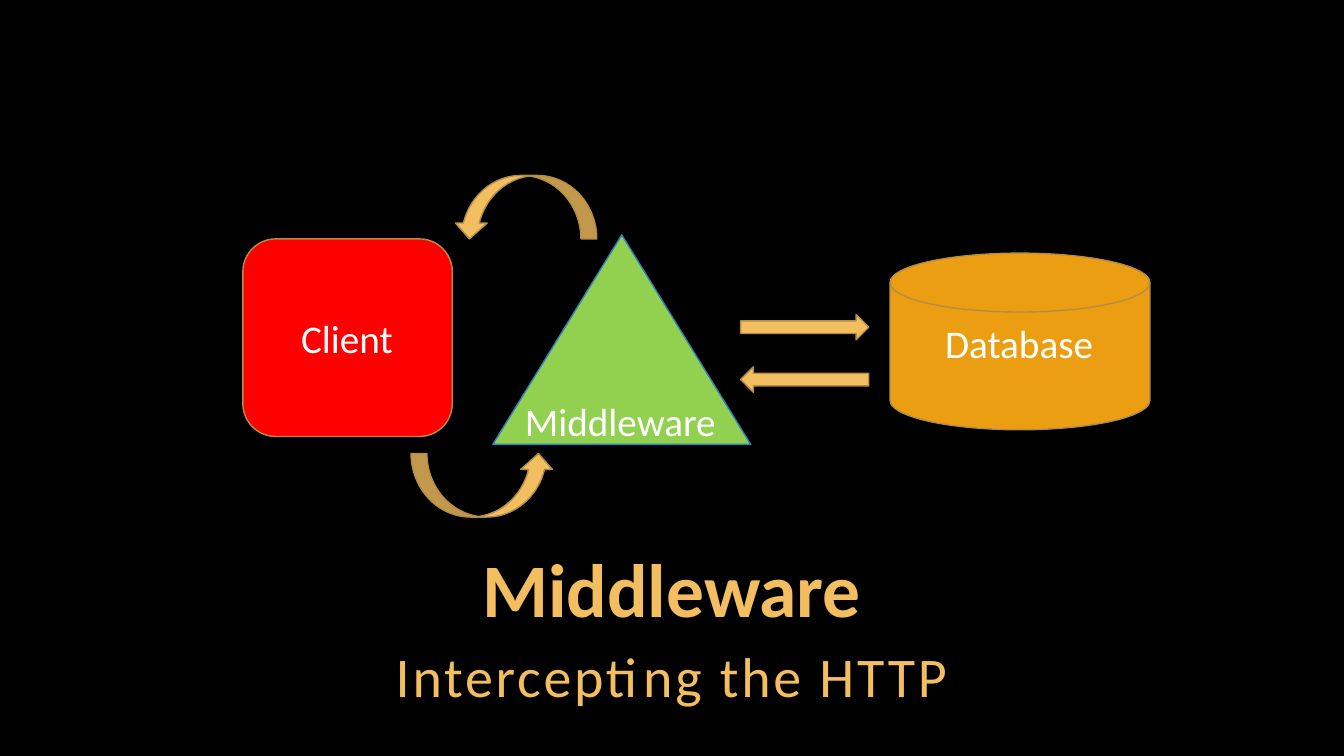
"""Build the slide that shows middleware between a client and a database."""
from pptx import Presentation
from pptx.dml.color import RGBColor
from pptx.enum.shapes import MSO_SHAPE
from pptx.enum.text import MSO_ANCHOR, PP_ALIGN
from pptx.util import Cm, Pt

COLORS = {"black": "000000", "gold": "F3BE60", "bronze": "B48D47", "white": "FFFFFF",
          "orange": "EC9E12", "green": "92D050", "blue": "2C7FBD", "red": "FF0000"}

NODES = [
    (MSO_SHAPE.FLOWCHART_MAGNETIC_DISK, (22.43, 6.38, 6.55, 4.45), "orange", "bronze"),
    (MSO_SHAPE.FLOWCHART_EXTRACT, (12.42, 5.92, 6.5, 5.28), "green", "blue"),
    (MSO_SHAPE.FLOWCHART_ALTERNATE_PROCESS, (6.12, 6.02, 5.28, 4.98), "red", "bronze"),
]
ARROWS = [
    (MSO_SHAPE.UP_ARROW, (19.96, 6.63, 0.64, 3.23), 90),
    (MSO_SHAPE.UP_ARROW, (19.96, 7.95, 0.64, 3.23), 270),
    (MSO_SHAPE.CURVED_UP_ARROW, (10.36, 11.43, 3.61, 1.6), 0),
    (MSO_SHAPE.CURVED_UP_ARROW, (11.43, 4.42, 3.61, 1.6), 180),
]
LABELS = [
    ("Client", (7.34, 7.8, 3.1, 1.45)),
    ("Middleware", (12.98, 9.88, 5.44, 1.45)),
    ("Database", (23.57, 7.92, 5.44, 1.45)),
]
HEADINGS = [
    ("Middleware", (2.54, 13.77, 28.78, 2.29),
     dict(size=54, bold=True, line_spacing=0.9, anchor=MSO_ANCHOR.BOTTOM)),
    ("Intercepting the HTTP", (2.54, 15.98, 28.78, 2.01),
     dict(size=40, line_spacing=1.05, space_after=6, tracking=2)),
]


def rgb(name):
    return RGBColor.from_string(COLORS[name])


def add_figure(kind, box, fill="gold", line="bronze", rotation=0):
    sp = s.shapes.add_shape(kind, *map(Cm, box))
    sp.shadow.inherit = False
    sp.fill.solid()
    sp.fill.fore_color.rgb = rgb(fill)
    sp.line.color.rgb = rgb(line)
    sp.line.width = Pt(1)
    sp.rotation = rotation


def add_text(text, box, size=28, color="white", bold=False, align=PP_ALIGN.LEFT,
             anchor=MSO_ANCHOR.TOP, inset=0.25, line_spacing=1.0, space_after=0, tracking=0):
    tf = s.shapes.add_textbox(*map(Cm, box)).text_frame
    tf.word_wrap = True
    tf.vertical_anchor = anchor
    tf.margin_left = tf.margin_right = Cm(inset)
    tf.margin_top = tf.margin_bottom = Cm(min(inset, 0.13))
    p = tf.paragraphs[0]
    p.alignment = align
    p.line_spacing = line_spacing
    p.space_after = Pt(space_after)
    r = p.add_run()
    r.text = text
    r.font.name = "Calibri"
    r.font.size = Pt(size)
    r.font.bold = bold
    r.font.color.rgb = rgb(color)
    if tracking:
        r.font._element.set("spc", str(tracking * 100))


prs = Presentation()
prs.slide_width, prs.slide_height = Cm(33.87), Cm(19.05)
s = prs.slides.add_slide(prs.slide_layouts[6])
s.background.fill.solid()
s.background.fill.fore_color.rgb = rgb("black")

for text, box, style in HEADINGS:
    add_text(text, box, color="gold", align=PP_ALIGN.CENTER, inset=0.1, **style)
for kind, box, fill, line in NODES:
    add_figure(kind, box, fill, line)
for kind, box, rotation in ARROWS:
    add_figure(kind, box, rotation=rotation)
for text, box in LABELS:
    add_text(text, box)

prs.save("out.pptx")
